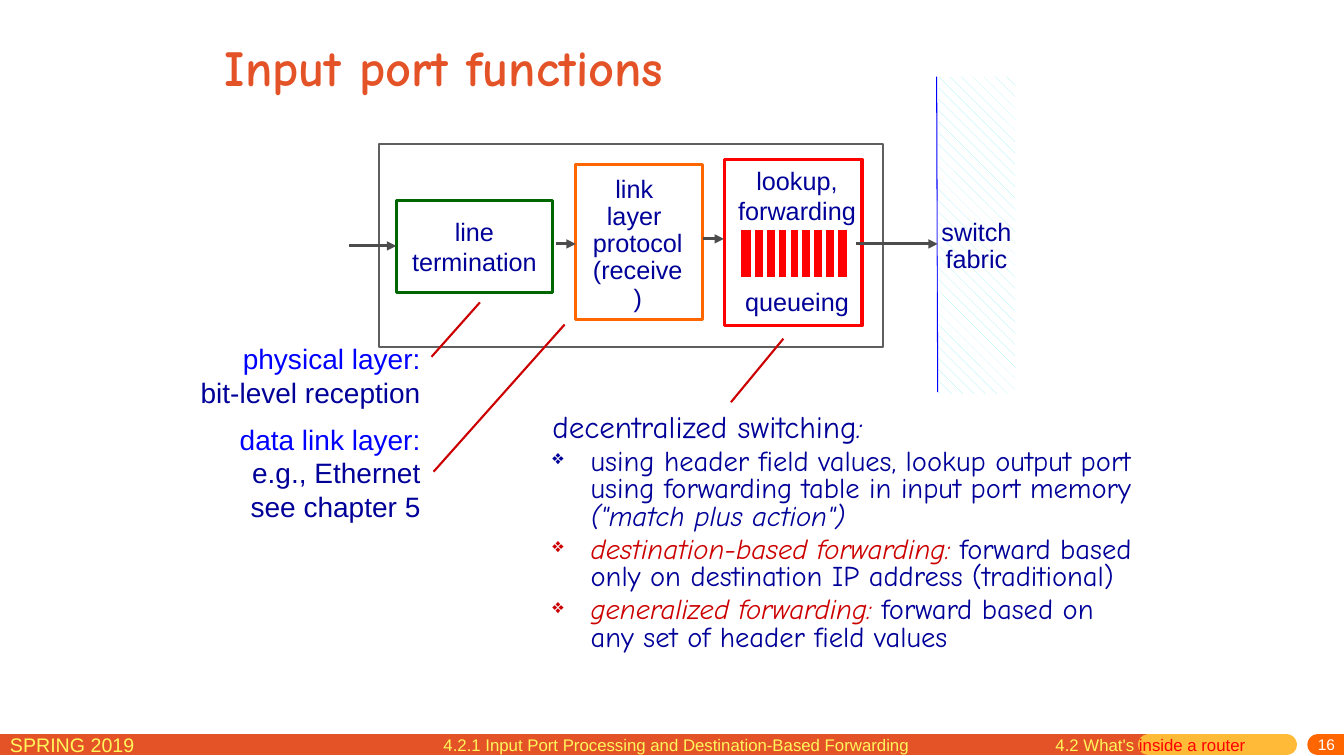
from collections import namedtuple

from pptx import Presentation
from pptx.dml.color import RGBColor
from pptx.enum.dml import MSO_PATTERN
from pptx.enum.shapes import MSO_CONNECTOR, MSO_SHAPE
from pptx.enum.text import MSO_ANCHOR, PP_ALIGN
from pptx.oxml.ns import qn
from pptx.util import Inches, Pt
from lxml.etree import SubElement

COLS, ROWS = 133.3, 75
CELL = Inches(7.5) / ROWS
NAVY, BLUE, RED, DARK_RED = "000099", "0000FF", "FF0000", "CC0000"
ORANGE, LEMON, WHITE, GREY = "E45327", "FFF65C", "FFFFFF", "4C4C4C"
ALIGN = {"l": PP_ALIGN.LEFT, "c": PP_ALIGN.CENTER, "r": PP_ALIGN.RIGHT}
Box = namedtuple("Box", "x y w h")


def rgb(color):
    """Turn a hex string into a colour."""
    return RGBColor.from_string(color)


def grid(*cells):
    """Turn grid cells into slide lengths."""
    return [round(c * CELL) for c in cells]


def inside(box, x, y, w, h):
    """Return a box whose corner is counted from the corner of another."""
    return Box(box.x + x, box.y + y, w, h)


def write(sp, paragraphs, size=18, color=NAVY, font="Arial", align="l", middle=False,
          wrap=False, spacing=None, before=0, bold=False, bullets=False, insets=None):
    """Fill a shape with paragraphs, each a string or a list of (text, format) runs."""
    tf = sp.text_frame
    tf.word_wrap = wrap
    tf.vertical_anchor = MSO_ANCHOR.MIDDLE if middle else MSO_ANCHOR.TOP
    if insets:
        tf.margin_left, tf.margin_top, tf.margin_right, tf.margin_bottom = grid(*insets)
    for i, runs in enumerate(paragraphs):
        p = tf.add_paragraph() if i else tf.paragraphs[0]
        if bullets and i:
            pPr = p._p.get_or_add_pPr()
            pPr.set("marL", str(Inches(0.38)))
            pPr.set("indent", str(-Inches(0.38)))
            SubElement(pPr, qn("a:buSzPct"), val="70000")
            SubElement(pPr, qn("a:buChar"), char="❖")
        p.alignment = ALIGN[align]
        if spacing:
            p.line_spacing = spacing
        if i and before:
            p.space_before = Pt(before)
        for text, style in [(runs, {})] if isinstance(runs, str) else runs:
            r = p.add_run()
            r.text = text
            r.font.name, r.font.bold = font, bold
            r.font.size = Pt(style.get("size", size))
            r.font.italic = style.get("italic", False)
            r.font.color.rgb = rgb(style.get("color", color))


def text(s, box, paragraphs, **fmt):
    """Add a text box."""
    write(s.shapes.add_textbox(*grid(*box)), paragraphs, **fmt)


def rect(s, box, fill=WHITE, line=None, width=2.25):
    """Add a plain rectangle."""
    sp = s.shapes.add_shape(MSO_SHAPE.RECTANGLE, *grid(*box))
    sp.shadow.inherit = False
    sp.fill.solid()
    sp.fill.fore_color.rgb = rgb(fill)
    if line:
        sp.line.color.rgb = rgb(line)
        sp.line.width = Pt(width)
    else:
        sp.line.fill.background()
    return sp


def line(s, box, x1, y1, x2, y2, color, width, arrow=False, rounded=False):
    """Add a straight line between two points counted from a box's corner."""
    c = s.shapes.add_connector(
        MSO_CONNECTOR.STRAIGHT, *grid(box.x + x1, box.y + y1, box.x + x2, box.y + y2))
    c.line.color.rgb = rgb(color)
    c.line.width = Pt(width)
    ln = c.line._get_or_add_ln()
    if rounded:
        ln.set("cap", "rnd")
    if arrow:
        SubElement(ln, qn("a:tailEnd"), type="triangle")
    SubElement(c._element.spPr, qn("a:effectLst"))


def footer(s, box):
    """Draw the footer bar with its labels and the slide number."""
    for x1, x2, color, rounded in [(0, 113.9, ORANGE, False), (113.9, 127.6, "FFBA37", True),
                                   (130.7, box.w, "FF6600", True)]:
        line(s, box, x1, 1.7, x2, 1.7, color, 15, rounded=rounded)
    text(s, inside(box, 0, 0, 22.9, 3.1), ["SPRING 2019"], size=14, color=LEMON)
    text(s, inside(box, 107.5, 1, 25.9, 1.8), ["16"], size=11, color=WHITE, align="r",
         middle=True, insets=(1, 0, 1, 0.5))
    text(s, inside(box, 103.7, 0.2, 22, 3.1),
         [[("4.2 What's ", {}), ("inside a router", {"color": RED})]], size=12, color=LEMON)
    text(s, inside(box, 43, 0.2, 48.8, 3.1),
         ["4.2.1 Input Port Processing and Destination-Based Forwarding"],
         size=12, color=LEMON)


def switch_fabric(s, box):
    """Draw the hatched switch fabric with its edge and label."""
    sp = rect(s, box)
    sp.fill.patterned()
    sp.fill.pattern = MSO_PATTERN.SHINGLE
    sp.fill.fore_color.rgb = rgb("98F1F4")
    sp.fill.back_color.rgb = rgb(WHITE)
    line(s, box, -0.2, 0, -0.1, 31.3, BLUE, 0.75)
    label = rect(s, inside(box, -2, 12.3, 11.5, 9.1))
    color = label._element.spPr.find(qn("a:solidFill"))[0]
    SubElement(color, qn("a:alpha"), val="20000")
    write(label, ["switch", "fabric"], align="c", middle=True, spacing=0.9)


def queue(s, box, slots=9):
    """Draw a red buffer cut into slots by white lines."""
    group = s.shapes.add_group_shape()
    rect(group, box, RED, WHITE, 3)
    for i in range(1, slots):
        x = 0.23 + i * 1.17
        line(group, box, x, 0, x, box.h - 0.1, WHITE, 3)


def input_port(s, box):
    """Draw the port frame, its three stages and the arrows between them."""
    rect(s, box, line="5F5F5F", width=1.5)
    stage = rect(s, inside(box, 1.7, 5.6, 15.5, 9.1), line="006600")
    write(stage, ["line", "termination"], align="c", middle=True)
    rect(s, inside(box, 19.5, 2, 12.6, 15.4), line="FF6600")
    rect(s, inside(box, 34.3, 1.5, 13.6, 16.5), line=RED)
    for x1, x2, y in [(-3, 1.7, 10.1), (17.5, 19.5, 9.9), (32.1, 34.2, 9.4), (47.3, 55.4, 9.9)]:
        line(s, box, x1, y, x2, y, GREY, 2.25, arrow=True)
    text(s, inside(box, 19.9, 5.4, 11.5, 9.1), ["link ", "layer ", "protocol", "(receive)"],
         align="c", middle=True, spacing=0.9)
    text(s, inside(box, 34.6, 1.6, 13.7, 6.5), ["lookup,", "forwarding"], align="c")
    text(s, inside(box, 34.6, 13.6, 13.7, 4), ["queueing"], align="c")
    queue(s, inside(box, 35.7, 8.3, 10.9, 5.1))


def layer_notes(s, box):
    """Write the two right-aligned layer notes and draw the pointers."""
    for y, h, lines in [(0, 7.7, ["physical layer:", "bit-level reception"]),
                        (8, 11, ["data link layer:", "e.g., Ethernet", "see chapter 5"])]:
        head, *rest = lines
        text(s, inside(box, 0, y, box.w, h), [[(head, {"color": BLUE})], *rest],
             size=20, align="r")
    for ends in [(23.9, 2, 28.7, -3.4), (24.1, 13.4, 37.1, -1.2), (53.6, 6.5, 58.8, 0.2)]:
        line(s, box, *ends, DARK_RED, 1.5)


def switching_notes(s, box):
    """Write the bulleted notes on decentralized switching."""
    italic, red = {"italic": True}, {"italic": True, "color": DARK_RED}
    text(s, box, [
        [("decentralized switching", {"size": 22.2}), (":", {"size": 22.2, **italic})],
        [("using header field values, lookup output port using forwarding table "
          "in input port memory ", {}), ("(\"match plus action\")", italic)],
        [("destination-based forwarding: ", red),
         ("forward based only on destination IP address (traditional)", {})],
        [("generalized forwarding: ", red),
         ("forward based on any set of header field values", {})],
    ], size=20.4, font="Comic Neue", wrap=True, spacing=0.8, before=4, bullets=True)


def main():
    """Build the slide and save it."""
    prs = Presentation()
    prs.slide_width, prs.slide_height = grid(COLS, ROWS)
    s = prs.slides.add_slide(prs.slide_layouts[6])
    footer(s, Box(0, 72.2, COLS, 2.8))
    text(s, Box(21.3, 3.2, 85, 6.7), ["Input port functions"], size=36, color=ORANGE,
         font="Comic Neue", bold=True, middle=True, wrap=True)
    switch_fabric(s, Box(93.1, 7.6, 7.6, 31.5))
    input_port(s, Box(37.6, 14.3, 50, 20.1))
    layer_notes(s, Box(18.9, 33.4, 23.8, 19))
    switching_notes(s, Box(53.8, 40.6, 59.7, 29.2))
    prs.save("out.pptx")


if __name__ == "__main__":
    main()
